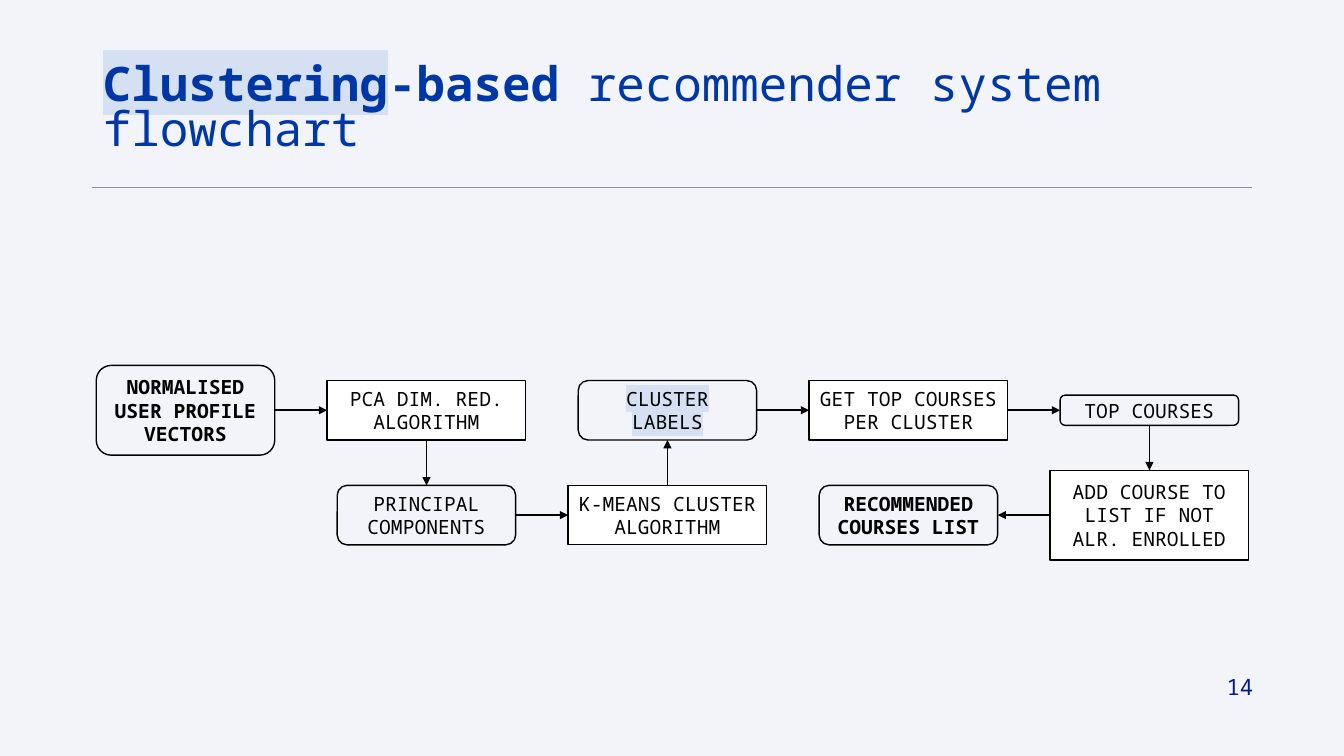
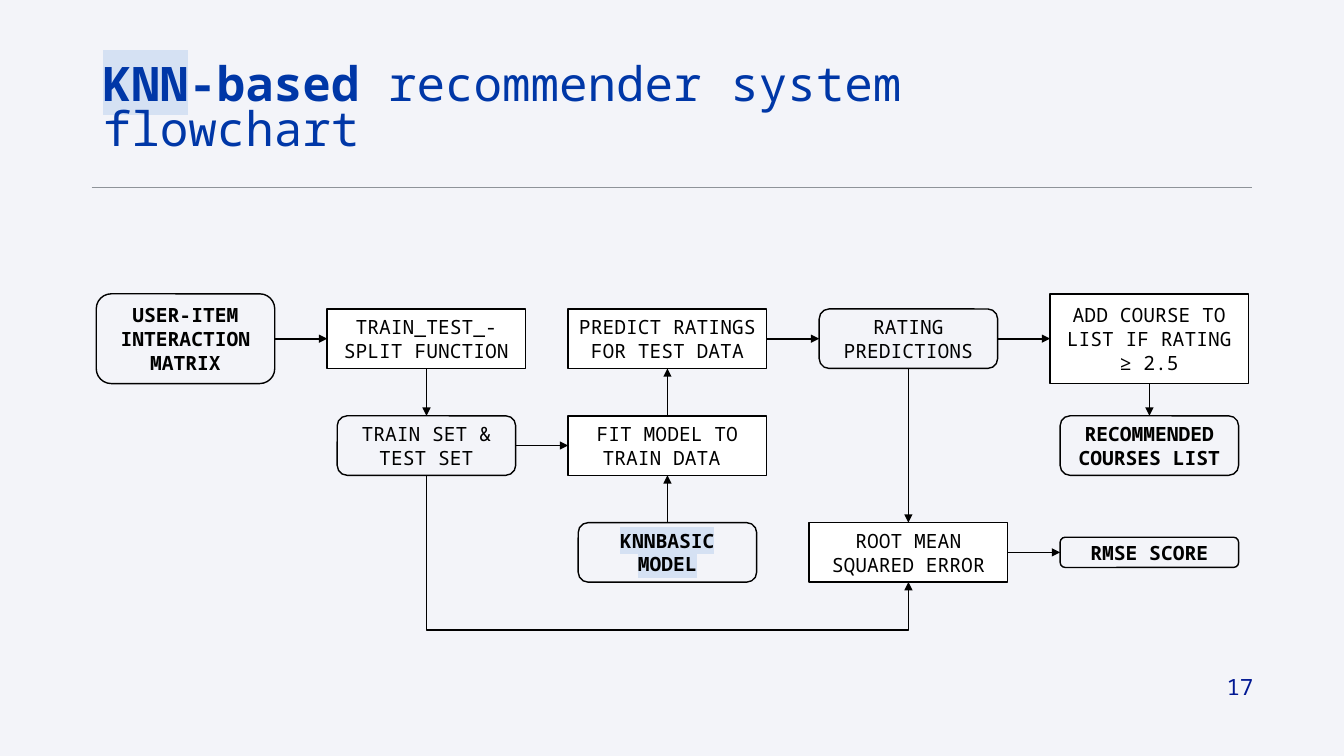
from dataclasses import dataclass

from lxml import etree
from pptx import Presentation
from pptx.dml.color import RGBColor
from pptx.enum import shapes as kinds, text as txt
from pptx.oxml.ns import qn
from pptx.util import Inches, Pt


@dataclass(frozen=True)
class Theme:
    font: str = "Noto Sans Mono"
    background: str = "F3F4F9"
    title: str = "0037A7"
    mark: str = "D5E1F3"
    rule: str = "8E9399"
    ink: str = "000000"
    step: str = "FFFFFF"
    number: str = "011893"
    title_size: float = 34
    box_size: float = 14
    number_size: float = 16
    rule_width: float = 0.5
    box_line: float = 1
    arrow_line: float = 1.25


THEME = Theme()

# Words between asterisks are highlighted.
# Boxes: key -> (kind, column, row, lines of text, text)
# Arrows: (from, side, to, side)
SLIDES = [
    {
        "title": ("*Clustering*-based", " recommender system ", "flowchart"),
        "number": "14",
        "rows": (4.07, 5.11),
        "boxes": {
            "vectors": ("key", 0, 0, 3, "NORMALISED USER PROFILE VECTORS"),
            "pca": ("step", 1, 0, 2, "PCA DIM. RED. ALGORITHM"),
            "components": ("data", 1, 1, 2, "PRINCIPAL COMPONENTS"),
            "kmeans": ("step", 2, 1, 2, "K-MEANS CLUSTER ALGORITHM"),
            "labels": ("data", 2, 0, 2, "*CLUSTER* *LABELS*"),
            "get top": ("step", 3, 0, 2, "GET TOP COURSES PER CLUSTER"),
            "top": ("data", 4, 0, 1, "TOP COURSES"),
            "add": ("step", 4, 1, 3, "ADD COURSE TO LIST IF NOT ALR. ENROLLED"),
            "list": ("key", 3, 1, 2, "RECOMMENDED COURSES LIST"),
        },
        "arrows": [
            ("vectors", "right", "pca", "left"),
            ("pca", "bottom", "components", "top"),
            ("components", "right", "kmeans", "left"),
            ("kmeans", "top", "labels", "bottom"),
            ("labels", "right", "get top", "left"),
            ("get top", "right", "top", "left"),
            ("top", "bottom", "add", "top"),
            ("add", "left", "list", "right"),
        ],
        "detours": [],
    },
    {
        "title": ("*KNN*-based", " recommender system ", "flowchart"),
        "number": "17",
        "rows": (3.36, 4.42, 5.48),
        "boxes": {
            "matrix": ("key", 0, 0, 3, "USER-ITEM INTERACTION MATRIX"),
            "split": ("step", 1, 0, 2, "TRAIN_TEST_-SPLIT FUNCTION"),
            "sets": ("data", 1, 1, 2, "TRAIN SET & TEST SET"),
            "fit": ("step", 2, 1, 2, "FIT MODEL TO TRAIN DATA "),
            "model": ("key", 2, 2, 2, "*KNNBASIC* *MODEL*"),
            "predict": ("step", 2, 0, 2, "PREDICT RATINGS FOR TEST DATA"),
            "ratings": ("data", 3, 0, 2, "RATING PREDICTIONS"),
            "error": ("step", 3, 2, 2, "ROOT MEAN SQUARED ERROR"),
            "score": ("key", 4, 2, 1, "RMSE SCORE"),
            "add": ("step", 4, 0, 3, "ADD COURSE TO LIST IF RATING ≥ 2.5"),
            "list": ("key", 4, 1, 2, "RECOMMENDED COURSES LIST"),
        },
        "arrows": [
            ("matrix", "right", "split", "left"),
            ("split", "bottom", "sets", "top"),
            ("sets", "right", "fit", "left"),
            ("model", "top", "fit", "bottom"),
            ("fit", "top", "predict", "bottom"),
            ("predict", "right", "ratings", "left"),
            ("ratings", "right", "add", "left"),
            ("ratings", "bottom", "error", "top"),
            ("error", "right", "score", "left"),
            ("add", "bottom", "list", "top"),
        ],
        "detours": [("sets", "error", 6.25)],
    },
]

FIRST_COLUMN, COLUMN_STEP = 1.84, 2.39
BOX_WIDTH = {"step": 1.97, "data": 1.77, "key": 1.77}
BOX_HEIGHT = {1: 0.3, 2: 0.59, 3: 0.89}
SIDES = {"top": 0, "left": 1, "bottom": 2, "right": 3}
TITLE_PLACE = {"left": 0.92, "top": 0.59, "width": 11.5, "height": 1.45}


def rgb(value):
    return RGBColor.from_string(value)


def set_all(target, values):
    for name, value in values.items():
        setattr(target, name, value)


def add_marked(paragraph, content, size, color, bold=False):
    """Add runs, highlighting the parts between asterisks."""
    for index, part in enumerate(content.split("*")):
        if not part:
            continue
        run = paragraph.add_run()
        run.text = part
        set_all(run.font, {"name": THEME.font, "size": Pt(size), "bold": bold})
        run.font.color.rgb = rgb(color)
        if index % 2:
            highlight = etree.Element(qn("a:highlight"))
            etree.SubElement(highlight, qn("a:srgbClr"), val=THEME.mark)
            run.font._element.find(qn("a:solidFill")).addnext(highlight)


def add_line(slide, form, color, width, ends=(0, 0, 0, 0)):
    line = slide.shapes.add_connector(form, *map(Inches, ends))
    line.line.color.rgb = rgb(color)
    line.line.width = Pt(width)
    etree.SubElement(line._element.spPr, qn("a:effectLst"))
    return line


def add_arrow(slide, form, width, start, start_side, end, end_side):
    arrow = add_line(slide, form, THEME.ink, width)
    arrow.begin_connect(start, SIDES[start_side])
    arrow.end_connect(end, SIDES[end_side])
    etree.SubElement(arrow.line._get_or_add_ln(), qn("a:tailEnd"), type="triangle")
    return arrow


def add_detour(slide, start, end, lowest):
    """Lead an arrow from bottom edge to bottom edge by way of a lower level."""
    arrow = add_arrow(slide, kinds.MSO_CONNECTOR.ELBOW, THEME.box_line,
                      start, "bottom", end, "bottom")
    x1, y1 = start.left + start.width // 2, start.top + start.height
    x2, y2 = end.left + end.width // 2, end.top + end.height
    across, down = x2 - x1, y2 - y1
    set_all(arrow, {"left": (x1 + x2 - down) // 2, "top": (y1 + y2 - across) // 2,
                    "width": down, "height": across})
    frame = arrow._element.spPr.find(qn("a:xfrm"))
    frame.attrib.pop("flipV", None)
    frame.set("rot", str(270 * 60000))
    frame.set("flipH", "1")
    geometry = arrow._element.spPr.find(qn("a:prstGeom"))
    guides = geometry.find(qn("a:avLst"))
    if guides is None:
        guides = etree.SubElement(geometry, qn("a:avLst"))
    bend = round((Inches(lowest) - y1) / down * 100000)
    etree.SubElement(guides, qn("a:gd"), name="adj1", fmla=f"val {bend}")


def add_box(slide, rows, kind, column, row, lines, content):
    width, height = BOX_WIDTH[kind], BOX_HEIGHT[lines]
    center = FIRST_COLUMN + column * COLUMN_STEP
    is_step = kind == "step"
    form = kinds.MSO_SHAPE.RECTANGLE if is_step else kinds.MSO_SHAPE.ROUNDED_RECTANGLE
    box = slide.shapes.add_shape(form, Inches(center - width / 2),
                                 Inches(rows[row] - height / 2),
                                 Inches(width), Inches(height))
    box.shadow.inherit = False
    if is_step:
        box.fill.solid()
        box.fill.fore_color.rgb = rgb(THEME.step)
    else:
        box.fill.background()
    box.line.color.rgb = rgb(THEME.ink)
    box.line.width = Pt(THEME.box_line)
    set_all(box.text_frame, {"word_wrap": True,
                             "vertical_anchor": txt.MSO_ANCHOR.MIDDLE})
    label = box.text_frame.paragraphs[0]
    label.alignment = txt.PP_ALIGN.CENTER
    add_marked(label, content, THEME.box_size, THEME.ink, kind == "key")
    return box


def add_title(slide, strong, plain, second_line):
    set_all(slide.shapes.title.text_frame, {
        "vertical_anchor": txt.MSO_ANCHOR.TOP, "word_wrap": True,
        "auto_size": txt.MSO_AUTO_SIZE.NONE})
    heading = slide.shapes.title.text_frame.paragraphs[0]
    set_all(heading, {"alignment": txt.PP_ALIGN.LEFT, "line_spacing": 0.8})
    style = (THEME.title_size, THEME.title)
    add_marked(heading, strong, *style, bold=True)
    add_marked(heading, plain, *style)
    heading.add_line_break()
    add_marked(heading, second_line, *style)


def add_number(slide, number):
    corner = slide.shapes.add_textbox(*map(Inches, (9.53, 6.59, 3, 0.44)))
    set_all(corner.text_frame, {"word_wrap": True,
                                "vertical_anchor": txt.MSO_ANCHOR.MIDDLE})
    paragraph = corner.text_frame.paragraphs[0]
    paragraph.alignment = txt.PP_ALIGN.RIGHT
    add_marked(paragraph, number, THEME.number_size, THEME.number)


def add_flowchart(deck, layout, content):
    slide = deck.slides.add_slide(layout)
    add_title(slide, *content["title"])
    add_line(slide, kinds.MSO_CONNECTOR.STRAIGHT, THEME.rule, THEME.rule_width,
             (0.91, 1.86, 12.42, 1.86))
    boxes = {key: add_box(slide, content["rows"], *box)
             for key, box in content["boxes"].items()}
    for start, start_side, end, end_side in content["arrows"]:
        add_arrow(slide, kinds.MSO_CONNECTOR.STRAIGHT, THEME.arrow_line,
                  boxes[start], start_side, boxes[end], end_side)
    for start, end, lowest in content["detours"]:
        add_detour(slide, boxes[start], boxes[end], lowest)
    add_number(slide, content["number"])


def main():
    deck = Presentation()
    set_all(deck, {"slide_width": Inches(13.33), "slide_height": Inches(7.5)})
    backdrop = deck.slide_master.background.fill
    backdrop.solid()
    backdrop.fore_color.rgb = rgb(THEME.background)
    layout = deck.slide_layouts.get_by_name("Title Only")
    set_all(layout.placeholders[0],
            {side: Inches(value) for side, value in TITLE_PLACE.items()})
    for content in SLIDES:
        add_flowchart(deck, layout, content)
    deck.save("out.pptx")


if __name__ == "__main__":
    main()
